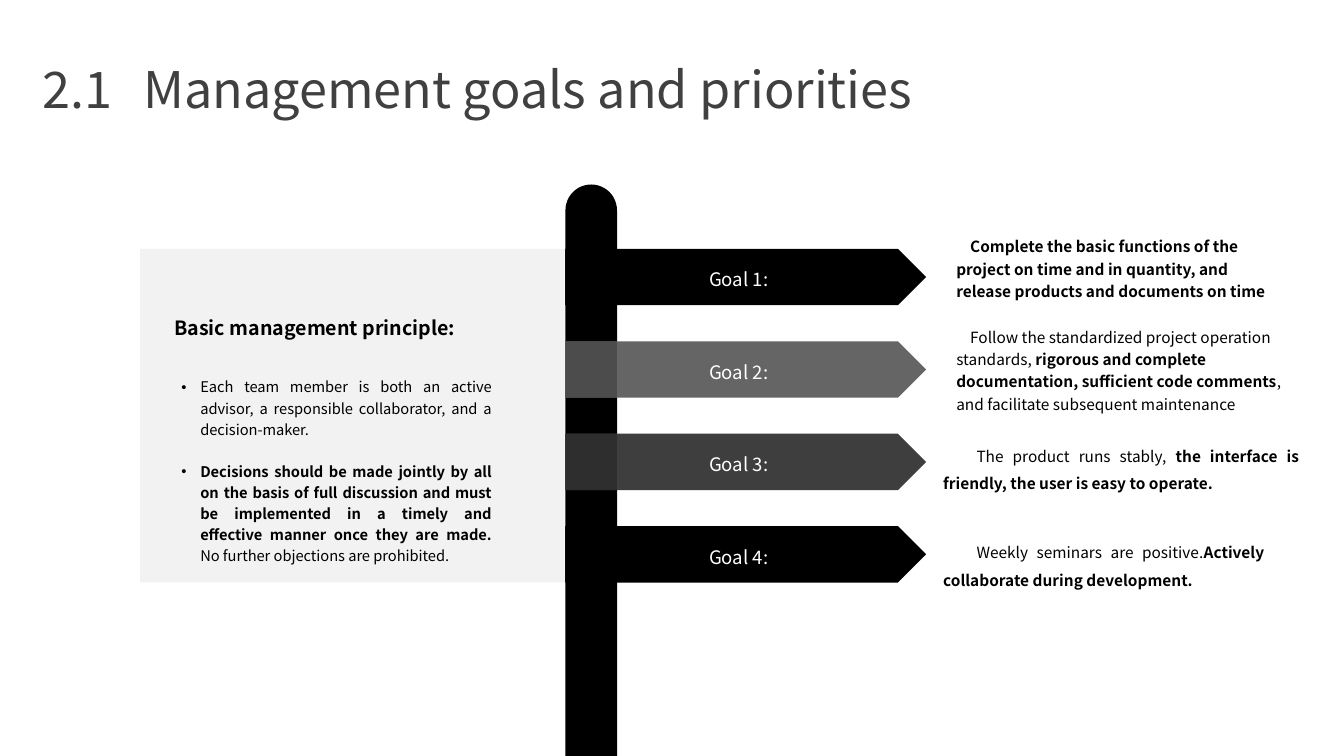
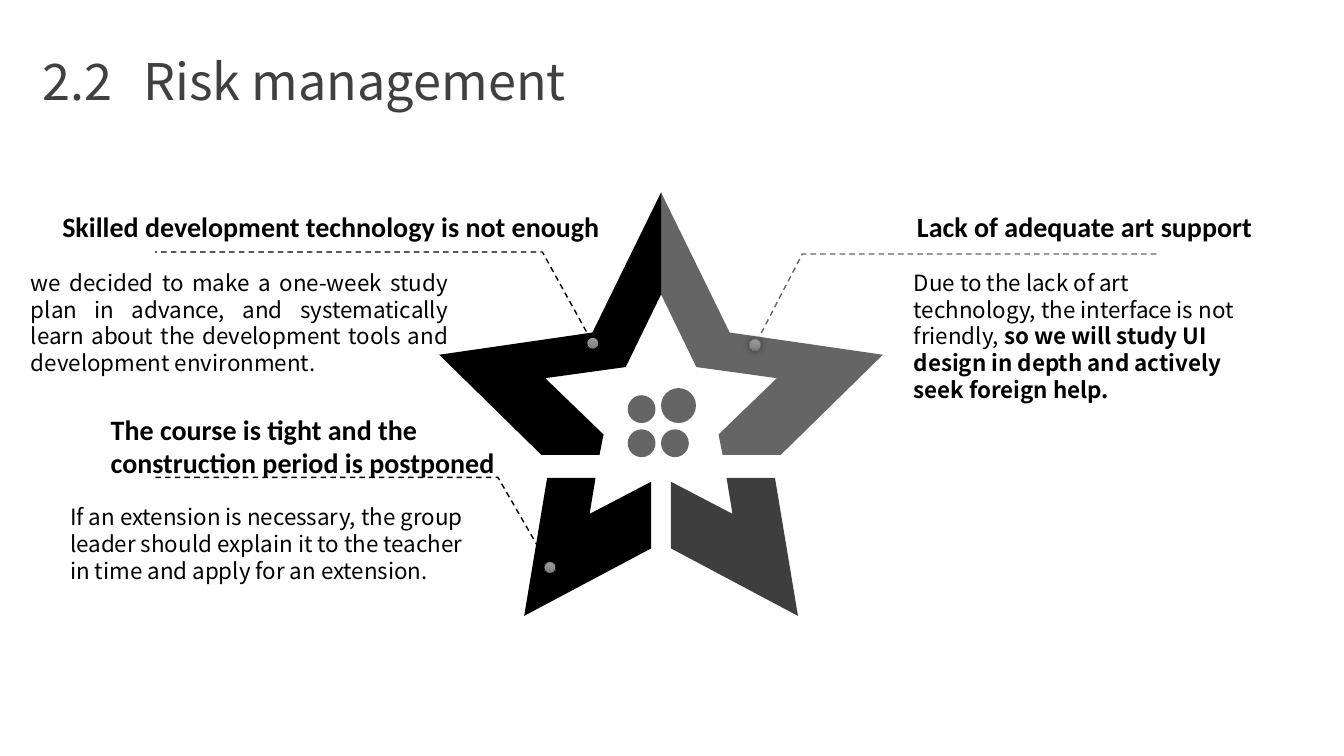
"""Build two project-management slides: goals signpost and risk star."""
from lxml import etree
from pptx import Presentation
from pptx.dml.color import RGBColor
from pptx.enum import dml, shapes, text
from pptx.oxml import ns
from pptx.util import Cm, Pt

SANS, HEAD = "Noto Sans CJK SC", "Calibri"
BLACK, GREY, DARK, PANEL, TITLE, WHITE = "000000", "656565", "3E3E3E", "F2F2F2", "404040", "FFFFFF"
LEFT, CENTER, JUSTIFY = text.PP_ALIGN.LEFT, text.PP_ALIGN.CENTER, text.PP_ALIGN.JUSTIFY
SHAPE = shapes.MSO_SHAPE


def paint(sp, fill):
    """Give a shape a flat fill without line or shadow."""
    sp.shadow.inherit = False
    sp.fill.solid()
    sp.fill.fore_color.rgb = RGBColor.from_string(fill)
    sp.line.fill.background()


def write(sp, paras, size, color=BLACK, name=SANS, spacing=1.0, align=LEFT, indent=0, margin=0,
          bullet=None, gap=0, tab=0):
    """Write paragraphs, each a list of (text, bold) runs, and return the text frame."""
    tf = sp.text_frame
    tf.word_wrap = True
    for i, runs in enumerate(paras):
        p = tf.add_paragraph() if i else tf.paragraphs[0]
        para = {"alignment": align, "line_spacing": spacing, "space_before": Pt(gap if i else 0)}
        for key, value in para.items():
            setattr(p, key, value)
        pPr = p._p.get_or_add_pPr()
        pPr.set("marL", str(Cm(margin)))
        pPr.set("indent", str(Cm(indent)))
        if bullet:
            etree.SubElement(pPr, ns.qn("a:buFont"), typeface="Arial")
            etree.SubElement(pPr, ns.qn("a:buChar"), char=bullet)
        if tab:
            tabs = etree.SubElement(pPr, ns.qn("a:tabLst"))
            etree.SubElement(tabs, ns.qn("a:tab"), pos=str(Cm(tab)), algn="l")
        for words, bold in runs:
            r = p.add_run()
            r.text = words
            for key, value in {"name": name, "size": Pt(size), "bold": bold}.items():
                setattr(r.font, key, value)
            r.font.color.rgb = RGBColor.from_string(color)
    return tf


prs = Presentation()
prs.slide_width, prs.slide_height = Cm(33.87), Cm(19.05)
goals, risks = [prs.slides.add_slide(prs.slide_layouts[6]) for _ in range(2)]

for s, top, title in [(goals, 1.09, "2.1\tManagement goals and priorities"),
                      (risks, 0.89, "2.2\tRisk management")]:
    sp = s.shapes.add_textbox(Cm(0.53), Cm(top), Cm(31.9), Cm(1.96))
    tf = write(sp, [[(title, False)]], 36, TITLE, spacing=1.2, tab=2.33)
    tf.margin_left = Cm(0.54)
    tf.vertical_anchor = text.MSO_ANCHOR.MIDDLE

s = goals
pole_x, pole_w, flag_top, flag_h, pitch = 14.25, 1.3, 6.27, 1.42, 2.33
sp = s.shapes.add_shape(SHAPE.ROUND_2_SAME_RECTANGLE, Cm(pole_x), Cm(4.65), Cm(pole_w), Cm(14.4))
sp.adjustments[0] = 0.5
paint(sp, BLACK)

for i, (fill, shade) in enumerate([(BLACK, BLACK), (GREY, "4C4C4C"), (DARK, "2E2E2E"), (BLACK, BLACK)]):
    y = flag_top + i * pitch
    sp = s.shapes.add_shape(SHAPE.PENTAGON, Cm(pole_x), Cm(y), Cm(9.09), Cm(flag_h))
    paint(sp, fill)
    tf = write(sp, [[(f"Goal {i + 1}:", False)]], 13.3, WHITE, spacing=1.2, align=CENTER)
    tf.vertical_anchor = text.MSO_ANCHOR.MIDDLE
    sp = s.shapes.add_shape(SHAPE.RECTANGLE, Cm(pole_x), Cm(y), Cm(pole_w), Cm(flag_h))
    paint(sp, shade)

plain = {"spacing": 1.2, "indent": 0.35}
airy = {"spacing": 1.5, "indent": 0.84, "align": JUSTIFY}
for x, y, w, h, fmt, runs in [
    (23.85, 5.77, 8.59, 1.9, plain,
     [("Complete the basic functions of the project on time and in quantity, "
       "and release products and documents on time", True)]),
    (23.85, 8.05, 9.47, 2.46, plain,
     [("Follow the standardized project operation standards, ", False),
      ("rigorous and complete documentation, sufficient code comments", True),
      (", and facilitate subsequent maintenance", False)]),
    (23.52, 10.9, 9.47, 1.57, airy,
     [("The product runs stably, ", False),
      ("the interface is friendly, the user is easy to operate.", True)]),
    (23.52, 13.34, 8.59, 1.57, airy,
     [("Weekly seminars are positive.", False),
      ("Actively collaborate during development.", True)]),
]:
    sp = s.shapes.add_textbox(Cm(x), Cm(y), Cm(w), Cm(h))
    write(sp, [runs], 11, **fmt)

sp = s.shapes.add_shape(SHAPE.RECTANGLE, Cm(3.53), Cm(flag_top), Cm(10.7), Cm(3 * pitch + flag_h))
paint(sp, PANEL)
sp = s.shapes.add_textbox(Cm(4.14), Cm(7.72), Cm(9.55), Cm(0.91))
write(sp, [[("Basic management principle:", True)]], 14, spacing=1.2)
sp = s.shapes.add_textbox(Cm(4.32), Cm(9.32), Cm(8.33), Cm(5.05))
write(sp, [
    [("Each team member is both an active advisor, a responsible collaborator, "
      "and a decision-maker.", False)],
    [("Decisions should be made jointly by all on the basis of full discussion and must be "
      "implemented in a timely and effective manner once they are made. ", True),
     ("No further objections are prohibited.", False)],
], 10.5, spacing=1.2, align=JUSTIFY, margin=0.48, indent=-0.48, bullet="•", gap=15)

s = risks
star_x = 16.66
arm = [(0, 4.85), (1.73, 8.38), (5.59, 8.94), (3.02, 11.46), (1.55, 11.46),
       (1.45, 10.95), (2.92, 9.53), (0.89, 9.25), (0, 7.42)]
leg = [(0.25, 12.14), (0.25, 13.82), (3.45, 15.52), (2.87, 12.04), (1.65, 12.04), (1.8, 12.95)]
for outline, side, fill in [(leg, 1, DARK), (leg, -1, BLACK), (arm, 1, GREY), (arm, -1, BLACK)]:
    pts = [(Cm(star_x + side * dx), Cm(y)) for dx, y in outline]
    fb = s.shapes.build_freeform(*pts[0])
    fb.add_line_segments(pts[1:], close=True)
    paint(fb.convert_to_shape(), fill)

for x, y, d in [(15.82, 9.96, 0.7), (star_x, 9.78, 0.88), (15.82, 10.82, 0.7), (star_x, 10.82, 0.7)]:
    sp = s.shapes.add_shape(SHAPE.OVAL, Cm(x), Cm(y), Cm(d), Cm(d))
    paint(sp, GREY)

for x, y, w, h, title in [
    (22.86, 4.72, 9.6, 1.4, "Lack of adequate art support"),
    (1.32, 4.72, 15.6, 1.4, "Skilled development technology is not enough"),
    (2.54, 10.26, 11.89, 2.0, "The course is tight and the construction period is postponed"),
]:
    sp = s.shapes.add_textbox(Cm(x), Cm(y), Cm(w), Cm(h))
    write(sp, [[(title, True)]], 20, name=HEAD, spacing=1.5 if h == 1.4 else 1.0)

dot = 0.3
for color, route in [
    (BLACK, [(14.94, 8.65), (13.67, 6.35), (3.91, 6.35)]),
    (GREY, [(19.03, 8.69), (20.22, 6.4), (29.18, 6.4)]),
    (BLACK, [(13.86, 14.3), (12.55, 12.03), (3.91, 12.03)]),
]:
    pts = [(Cm(x), Cm(y)) for x, y in route]
    fb = s.shapes.build_freeform(*pts[0])
    fb.add_line_segments(pts[1:], close=False)
    sp = fb.convert_to_shape()
    sp.shadow.inherit = False
    sp.fill.background()
    sp.line.color.rgb = RGBColor.from_string(color)
    sp.line.width = Pt(1)
    sp.line.dash_style = dml.MSO_LINE.DASH
    etree.SubElement(sp.line._get_or_add_ln(), ns.qn("a:headEnd"), type="oval")

    x, y = route[0]
    sp = s.shapes.add_shape(SHAPE.OVAL, Cm(x - dot / 2), Cm(y - dot / 2), Cm(dot), Cm(dot))
    sp.fill.gradient()
    sp.fill.gradient_angle = 270
    for stop, shade in zip(sp.fill.gradient_stops, ("9D9D9D", "7C7C7C")):
        stop.color.rgb = RGBColor.from_string(shade)
    sp.line.color.rgb = RGBColor.from_string(color)
    sp.line.width = Pt(0.5)
    sp.shadow.inherit = False
    effects = sp._element.spPr.find(ns.qn("a:effectLst"))
    glow = etree.SubElement(effects, ns.qn("a:outerShdw"), blurRad=str(Pt(5)), dist="0")
    tint = etree.SubElement(glow, ns.qn("a:srgbClr"), val=BLACK)
    etree.SubElement(tint, ns.qn("a:alpha"), val="40000")

for x, y, w, h, align, runs in [
    (0.53, 6.65, 11.02, 3.0, JUSTIFY,
     [("we decided to make a one-week study plan in advance, and systematically learn about "
       "the development tools and development environment.", False)]),
    (1.52, 12.55, 10.44, 2.31, LEFT,
     [("If an extension is necessary, the group leader should explain it to the teacher "
       "in time and apply for an extension.", False)]),
    (22.78, 6.65, 9.14, 3.0, LEFT,
     [("Due to the lack of art technology, the interface is not friendly, ", False),
      ("so we will study UI design in depth and actively seek foreign help.", True)]),
]:
    sp = s.shapes.add_textbox(Cm(x), Cm(y), Cm(w), Cm(h))
    write(sp, [runs], 16, align=align)

prs.save("out.pptx")
